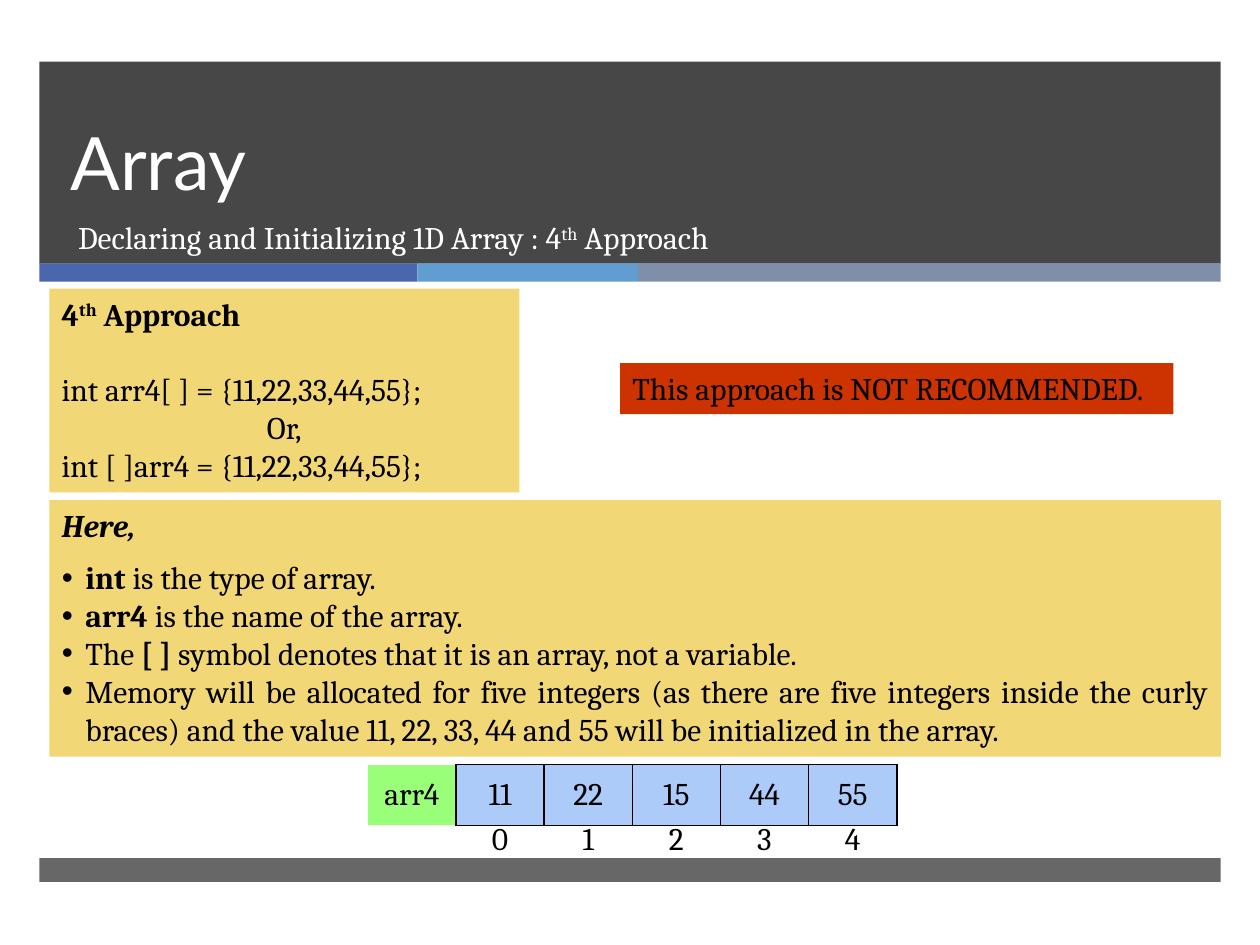
"""Build the slide on declaring and initializing a 1D array, fourth approach."""
from lxml import etree
from pptx import Presentation
from pptx.dml.color import RGBColor
from pptx.enum import shapes, text
from pptx.oxml import ns
from pptx.util import Pt

LEFT, MID, JUST = text.PP_ALIGN.LEFT, text.PP_ALIGN.CENTER, text.PP_ALIGN.JUSTIFY


def hue(code):
    return RGBColor.from_string(code)


def write(frame, *runs, size=18, font="Cambria", color="000000", align=JUST,
          gap=0, line=None, bullet=False):
    """Add a paragraph; a run is a string or (string, marks b, i, s)."""
    para = frame.paragraphs[0]
    if para.runs:
        para = frame.add_paragraph()
    para.alignment, para.space_before = align, Pt(gap)
    if line:
        para.line_spacing = Pt(line)
    if bullet:
        props = para._p.get_or_add_pPr()
        props.set("marL", str(Pt(13.5)))
        props.set("indent", str(-Pt(13.5)))
        etree.SubElement(props, ns.qn("a:buFont")).set("typeface", "Arial")
        etree.SubElement(props, ns.qn("a:buChar")).set("char", "•")
    for item in runs:
        words, marks = (item, "") if isinstance(item, str) else item
        run = para.add_run()
        run.text = words
        face = run.font
        face.size, face.name, face.color.rgb = Pt(size), font, hue(color)
        face.bold, face.italic = "b" in marks, "i" in marks
        if "s" in marks:
            run._r.get_or_add_rPr().set("baseline", "30000")


deck = Presentation()
deck.slide_width, deck.slide_height = Pt(720), Pt(540)
slide = deck.slides.add_slide(deck.slide_layouts[0])
parts = slide.shapes

boxes = {}
for name, x, y, w, h, fill in [
    ("head", 22.5, 35.2, 675, 115.5, "474747"),
    ("blue", 22.5, 150.5, 216, 10.5, "4A66AC"),
    ("sky", 238.5, 150.5, 126, 10.5, "629DD1"),
    ("slate", 364.5, 150.5, 333, 10.5, "7F8FA9"),
    ("foot", 22.5, 490.3, 675, 13.7, "676767"),
    ("code", 28.2, 165, 268.6, 116.4, "F2D776"),
    ("notes", 28.2, 285.8, 669.4, 146.6, "F2D776"),
    ("alert", 354.3, 207.5, 316.2, 29.1, "CC3300"),
]:
    box = parts.add_shape(shapes.MSO_SHAPE.RECTANGLE, Pt(x), Pt(y), Pt(w), Pt(h))
    box.shadow.inherit = False
    box.fill.solid()
    box.fill.fore_color.rgb = hue(fill)
    box.line.fill.background()
    frame = box.text_frame
    frame.word_wrap, frame.vertical_anchor = True, text.MSO_ANCHOR.TOP
    boxes[name] = frame

title, sub = parts.title, slide.placeholders[1]
for hold, x, y, w, h, anchor in [
    (title, 33.1, 35.3, 615, 85.7, text.MSO_ANCHOR.BOTTOM),
    (sub, 37.4, 121, 610.6, 38.2, text.MSO_ANCHOR.TOP),
]:
    hold.left, hold.top, hold.width, hold.height = Pt(x), Pt(y), Pt(w), Pt(h)
    hold.text_frame.vertical_anchor = anchor
    hold.text_frame.auto_size = text.MSO_AUTO_SIZE.NONE
    parts.element.append(hold.element)
write(title.text_frame, "Array", size=42, font="Lato", color="FFFFFF",
      align=LEFT, line=46)
write(sub.text_frame, "Declaring and Initializing 1D Array : 4", ("th", "s"),
      " Approach", color="FFFFFF", align=LEFT)

code = boxes["code"]
write(code, ("4", "b"), ("th", "bs"), (" Approach", "b"))
write(code, "int arr4[ ] = {11,22,33,44,55};", gap=21.5)
write(code, "Or,", align=MID)
write(code, "int [ ]arr4 = {11,22,33,44,55};")

notes = boxes["notes"]
write(notes, ("Here,", "bi"))
for gap, runs in [
    (8.2, [("int", "b"), " is the type of array."]),
    (0, [("arr4", "b"), " is the name of the array."]),
    (0, ["The ", ("[ ] ", "b"),
         "symbol denotes that it is an array, not a variable."]),
    (0, ["Memory will be allocated for five integers (as there are five "
         "integers inside the curly braces) and the value 11, 22, 33, 44 "
         "and 55 will be initialized in the array."]),
]:
    write(notes, *runs, gap=gap, bullet=True)

write(boxes["alert"], "This approach is NOT RECOMMENDED.")

for y, row, fills in [
    (437, ["arr4", "11", "22", "15", "44", "55"], ["99FF79"] + ["ACCBF9"] * 5),
    (463, ["", "0", "1", "2", "3", "4"], [None] * 6),
]:
    grid = parts.add_table(1, 6, Pt(210.2), Pt(y), Pt(302.4), Pt(34.6)).table
    grid.first_row = grid.horz_banding = False
    grid._tbl.tblPr[0].text = "{2D5ABB26-0587-4C30-8999-92F81FD0307C}"
    for col, (words, fill) in enumerate(zip(row, fills)):
        cell = grid.cell(0, col)
        cell.vertical_anchor = text.MSO_ANCHOR.MIDDLE
        if words:
            write(cell.text_frame, words, align=MID)
        if not fill:
            cell.fill.background()
            continue
        for side in ("LRTB" if col else "R"):
            edge = etree.SubElement(cell._tc.get_or_add_tcPr(),
                                    ns.qn("a:ln" + side), w=str(Pt(1)))
            paint = etree.SubElement(edge, ns.qn("a:solidFill"))
            etree.SubElement(paint, ns.qn("a:srgbClr"), val="000000")
        cell.fill.solid()
        cell.fill.fore_color.rgb = hue(fill)

deck.save("out.pptx")
